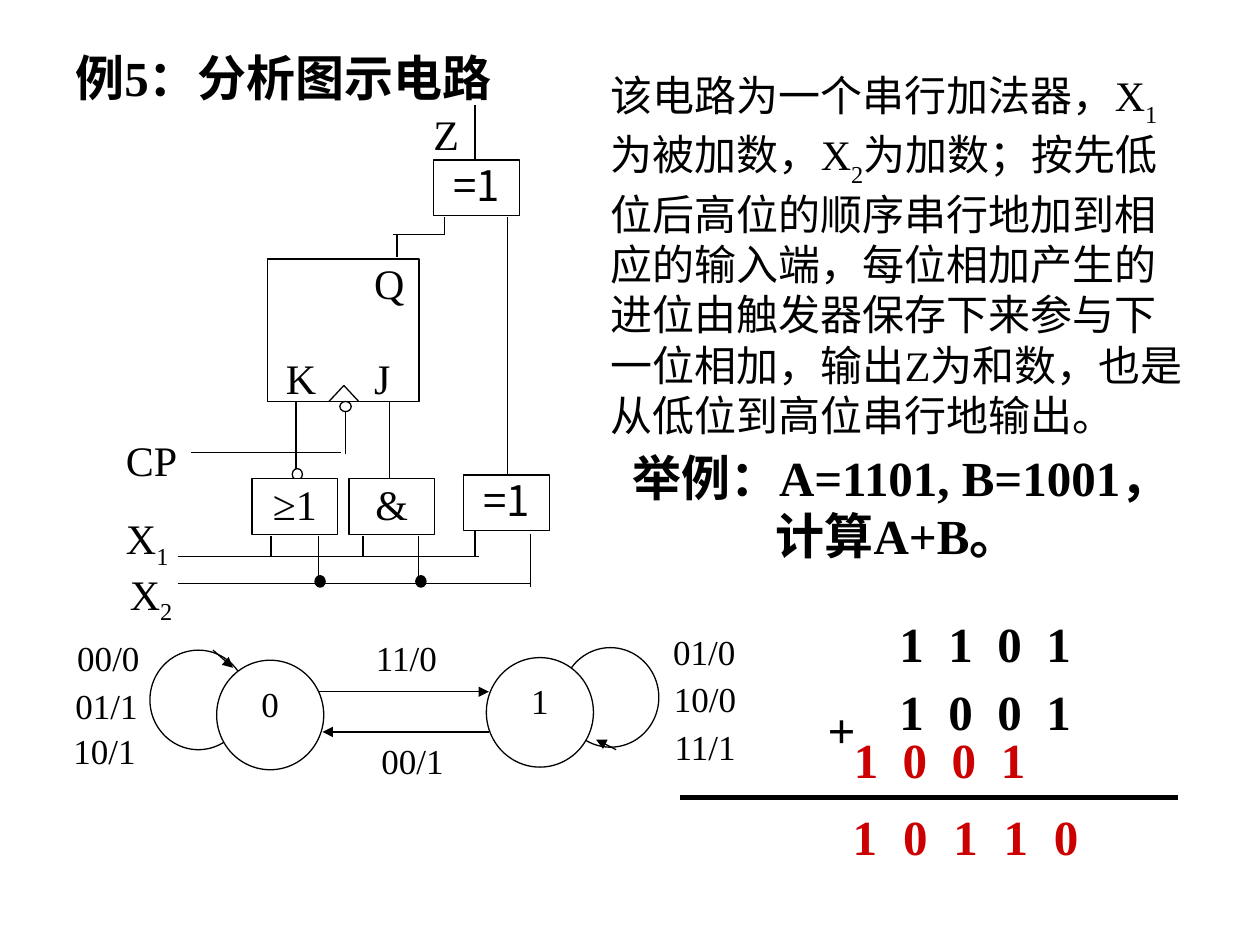
from lxml import etree
from pptx import Presentation
from pptx.dml.color import RGBColor
from pptx.enum.shapes import MSO_CONNECTOR, MSO_SHAPE
from pptx.enum.text import MSO_ANCHOR, PP_ALIGN
from pptx.oxml.ns import qn
from pptx.util import Pt

BLACK = RGBColor(0, 0, 0)
WHITE = RGBColor(255, 255, 255)
RED = RGBColor(0xCC, 0, 0)
SERIF = "Times New Roman"
SANS = "Noto Sans CJK SC"
RECT, OVAL = MSO_SHAPE.RECTANGLE, MSO_SHAPE.OVAL
LEFT, CENTER = PP_ALIGN.LEFT, PP_ALIGN.CENTER
TOP = MSO_ANCHOR.TOP
STRAIGHT = MSO_CONNECTOR.STRAIGHT
PAD = (7.2, 3.6, 7.2, 3.6)
NONE = (0, 0, 0, 0)


def write(frame, text, size, pad, color=BLACK, bold=False, align=LEFT,
          font=SERIF, drop=25):
    """Fill a frame; every second part between "_" marks is a subscript."""
    frame.word_wrap = True
    frame.vertical_anchor = TOP
    (frame.margin_left, frame.margin_top,
     frame.margin_right, frame.margin_bottom) = map(Pt, pad)
    para = frame.paragraphs[0]
    para.alignment = align
    for i, part in enumerate(text.split("_")):
        run = para.add_run()
        run.text = part
        run.font.size = Pt(size)
        run.font.bold = bold
        run.font.name = font
        run.font.color.rgb = color
        props = run.font._element
        etree.SubElement(props, qn("a:ea")).set("typeface", SANS)
        if i % 2:
            props.set("baseline", str(-1000 * drop))
    return para


def label(slide, x, y, w, h, text, size, pad=NONE, **look):
    box = slide.shapes.add_textbox(Pt(x), Pt(y), Pt(w), Pt(h))
    return write(box.text_frame, text, size, pad, **look)


def solid(slide, kind, x, y, w, h, fill=WHITE):
    shape = slide.shapes.add_shape(kind, Pt(x), Pt(y), Pt(w), Pt(h))
    shape.shadow.inherit = False
    shape.fill.solid()
    shape.fill.fore_color.rgb = fill
    shape.line.color.rgb = BLACK
    shape.line.width = Pt(0.75)
    return shape


def wire(slide, x1, y1, x2, y2, width=0.75, arrow=False):
    line = slide.shapes.add_connector(STRAIGHT, Pt(x1), Pt(y1), Pt(x2), Pt(y2))
    line.line.color.rgb = BLACK
    line.line.width = Pt(width)
    props = line._element.spPr
    if arrow:
        etree.SubElement(props.find(qn("a:ln")), qn("a:tailEnd")).set("type", "triangle")
    etree.SubElement(props, qn("a:effectLst"))


def circuit(slide, x, y):
    # Flip-flop
    wire(slide, x + 150.5, y + 218, x + 150.5, y + 167.5)
    solid(slide, RECT, x + 81, y + 88, 86.4, 81.4)
    # Wires: output, carry, clock, inputs and gate taps
    for x1, y1, x2, y2 in [
        (199.4, 60, 199.4, 0), (218.2, 211.4, 218.2, 63.8),
        (182.2, 73.9, 152.6, 73.9), (182.2, 73.9, 182.2, 63.8),
        (154.8, 87, 154.8, 73.9),
        (133, 169.4, 124.5, 160.3), (124.5, 160.3, 116, 169.4),
        (125.3, 169.4, 125.3, 199.2), (37.4, 198.5, 123.1, 198.5),
        (97.2, 169.4, 97.2, 211.4),
        (29.5, 258.2, 201.6, 258.2), (199.4, 258.2, 199.4, 241.7),
        (29.5, 273.4, 231.1, 273.4), (231.1, 275.5, 231.1, 245.3),
        (82.8, 246, 82.8, 258.2), (135.4, 246, 135.4, 258.2),
        (110.2, 246, 110.2, 273.4), (167, 246, 167, 273.4),
    ]:
        wire(slide, x + x1, y + y1, x + x2, y + y2)
    # Inverting bubbles and junction dots
    for dx, dy, w, h, fill in [
        (122.2, 169.4, 6.5, 5.8, WHITE), (95, 207.8, 5.8, 6.5, WHITE),
        (108, 269, 5.8, 6.5, BLACK), (165.6, 269, 5.8, 6.5, BLACK),
    ]:
        solid(slide, OVAL, x + dx, y + dy, w, h, fill)
    # Gates
    for dx, dy, sign, font in [
        (72, 213.6, "≥1", SERIF), (127.4, 213.6, "&", SERIF),
        (175.7, 31.4, "=1", SANS), (193, 211.4, "=1", SANS),
    ]:
        gate = solid(slide, RECT, x + dx, y + dy, 49, 31.7)
        write(gate.text_frame, sign, 24, (4.3, 0, 4.3, 0.7), align=CENTER, font=font)
    # Pin names
    for dx, dy, name in [
        (175.7, 1.9, "Z"), (141.8, 87, "Q"), (91.4, 141.6, "K"),
        (141.8, 141.6, "J"), (0, 188.4, "CP"), (0, 233, "X_1"), (2.2, 264.7, "X_2"),
    ]:
        label(slide, x + dx, y + dy, 36, 30, name, 24)


def states(slide, x, y):
    # Each state covers part of its own loop
    for name, loop, node in [
        ("0", (49.7, 11.5), (87.8, 17.3)), ("1", (285.1, 10.1), (241.9, 15.8)),
    ]:
        solid(slide, OVAL, x + loop[0], y + loop[1], 55.4, 56.9)
        ring = solid(slide, OVAL, x + node[0], y + node[1], 61.2, 62.6)
        write(ring.text_frame, name, 20, PAD, align=CENTER)
    # Transitions
    for x1, y1, x2, y2 in [
        (85.7, 11.5, 97.2, 21.6), (316.1, 68.4, 304.6, 62.6),
        (146.2, 35.3, 243.4, 35.3), (243.4, 58.3, 148.3, 58.3),
    ]:
        wire(slide, x + x1, y + y1, x + x2, y + y2, arrow=True)
    # Input/output labels
    for dx, dy, mark in [
        (2.2, 3.6, "00/0"), (1.2, 31, "01/1"), (0, 56.9, "10/1"),
        (172.5, 3.6, "11/0"), (176, 62.6, "00/1"),
        (342.7, 0, "01/0"), (343.2, 27.4, "10/0"), (343.2, 54.7, "11/1"),
    ]:
        label(slide, x + dx, y + dy, 47.5, 27.4, mark, 20, align=CENTER)


def addition(slide, x, y):
    # Operands and plus sign
    for dy, digits in [(0, "1101"), (38.9, "1001")]:
        para = label(slide, x + 118.1, y + dy, 195, 41, "\t".join(digits), 28, PAD, bold=True)
        tabs = etree.SubElement(para._p.get_or_add_pPr(), qn("a:tabLst"))
        for i in range(1, len(digits)):
            etree.SubElement(tabs, qn("a:tab"), pos=str(Pt(28 * i)), algn="l")
    label(slide, x + 77, y + 49, 29.5, 41, "+", 28, PAD, bold=True)
    # Rule
    wire(slide, x, y + 108.7, x + 284.4, y + 108.7, width=3)
    # Carries and sum, one digit to a column
    for dx, dy, step, digits in [(92, 66.2, 28, "1001"), (91.4, 110.2, 28.75, "10110")]:
        for i, digit in enumerate(digits):
            label(slide, x + dx + i * step, y + dy, 38.9, 41, digit, 28, PAD,
                  color=RED, bold=True)


def notes(slide, x, y):
    # Explanation
    label(slide, x, y, 347.8, 219.6,
          "该电路为一个串行加法器，X_1_为被加数，X_2_为加数；按先低位后高位的顺序"
          "串行地加到相应的输入端，每位相加产生的进位由触发器保存下来参与下一位相加，"
          "输出Z为和数，也是从低位到高位串行地输出。", 24, PAD, drop=30)
    # Worked example with hanging indent
    para = label(slide, x + 12.2, y + 216, 327.6, 75,
                 "举例：A=1101, B=1001， 计算A+B。", 28, PAD, bold=True)
    props = para._p.get_or_add_pPr()
    props.set("marL", str(Pt(82)))
    props.set("indent", str(Pt(-82)))


def main():
    deck = Presentation()
    deck.slide_width, deck.slide_height = Pt(720), Pt(540)
    slide = deck.slides.add_slide(deck.slide_layouts[6])
    label(slide, 36, 23.8, 630, 41, "例5：分析图示电路", 28, PAD, bold=True)
    circuit(slide, 72, 60)
    states(slide, 36, 360)
    notes(slide, 342, 36)
    addition(slide, 388.8, 347)
    deck.save("out.pptx")


if __name__ == "__main__":
    main()
